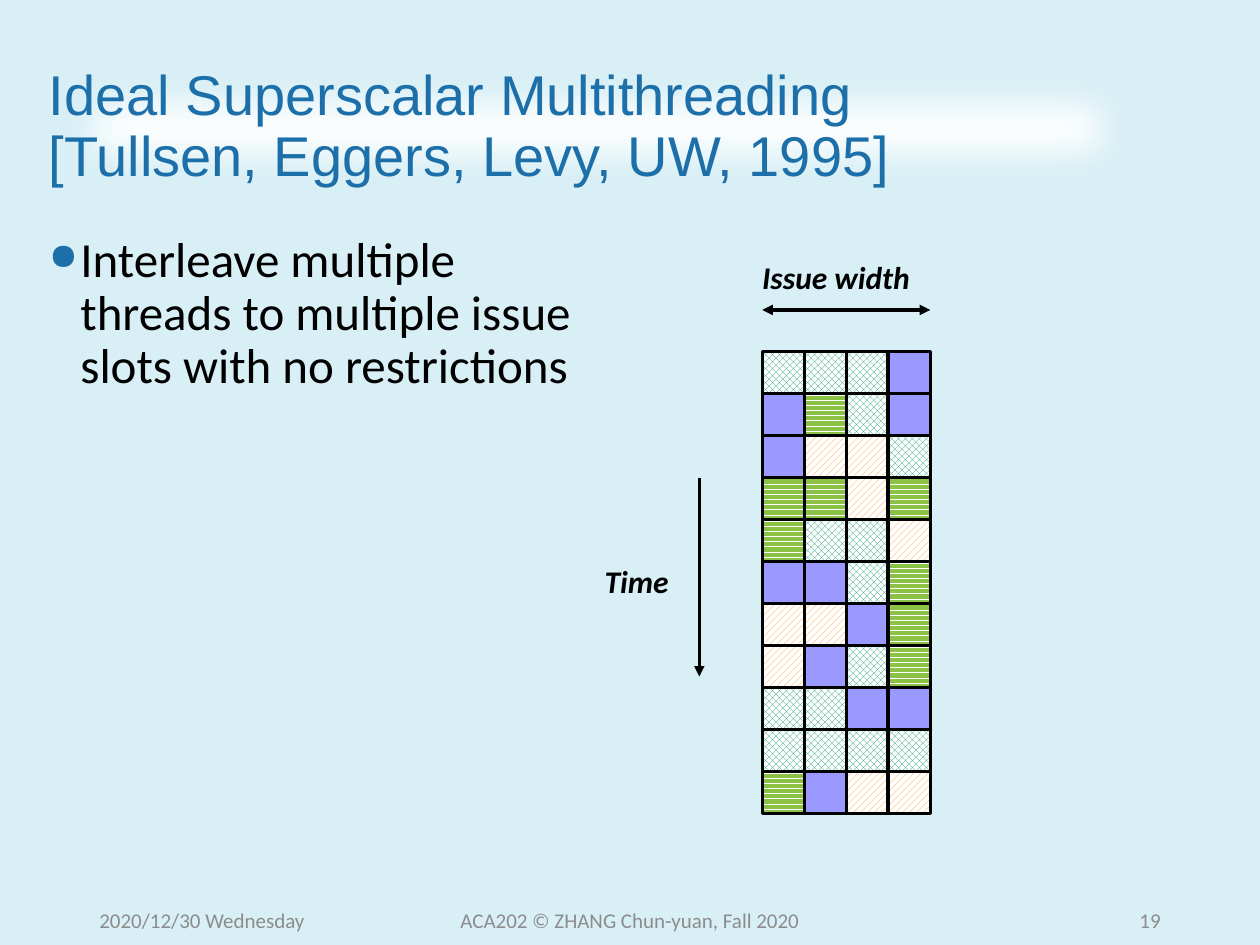
from lxml import etree
from pptx import Presentation
from pptx.dml.color import RGBColor
from pptx.enum.dml import MSO_PATTERN
from pptx.enum.shapes import MSO_CONNECTOR, MSO_SHAPE
from pptx.enum.text import MSO_ANCHOR, PP_ALIGN
from pptx.oxml.ns import qn
from pptx.util import Inches, Pt

RECTANGLE = MSO_SHAPE.RECTANGLE
STRAIGHT = MSO_CONNECTOR.STRAIGHT
DIAMONDS = MSO_PATTERN.SOLID_DIAMOND
STRIPES = MSO_PATTERN.DARK_HORIZONTAL
DIAGONALS = MSO_PATTERN.WIDE_UPWARD_DIAGONAL
TOP, MIDDLE = MSO_ANCHOR.TOP, MSO_ANCHOR.MIDDLE
LEFT, CENTER, RIGHT = PP_ALIGN.LEFT, PP_ALIGN.CENTER, PP_ALIGN.RIGHT

SKY = RGBColor(0xD7, 0xEF, 0xF5)
WHITE = RGBColor(0xFF, 0xFF, 0xFF)
BLACK = RGBColor(0, 0, 0)
BLUE = RGBColor(0x1D, 0x6F, 0xA9)
GRAY = RGBColor(0x8C, 0x8C, 0x8C)
VIOLET = RGBColor(0x99, 0x99, 0xFF)
TEAL = RGBColor(0x1D, 0x9A, 0x78)
GREEN = RGBColor(0x8B, 0xC1, 0x45)
ORANGE = RGBColor(0xFF, 0x99, 0x33)

THREADS = {
    "C": (DIAMONDS, TEAL),
    "H": (STRIPES, GREEN),
    "D": (DIAGONALS, ORANGE),
    "V": (None, VIOLET),
}
CYCLES = ["CCCV", "VHCV", "VDDC", "HHDH", "HCCD", "VVCH",
          "DDVH", "DVCH", "CCVV", "CCCC", "HVDD"]
SLOT = 1 / 3
GRID_LEFT, GRID_TOP = 6.05, 2.79


class SlideBuilder:
    body_font = "Calibri"
    title_font = "Arial"
    line_width = Pt(2)

    def __init__(self, slide):
        self.slide = slide
        slide.background.fill.solid()
        slide.background.fill.fore_color.rgb = SKY

    def add_words(self, paragraph, words, size, color, font=None, strong=False):
        run = paragraph.add_run()
        run.text = words
        run.font.size = Pt(size)
        run.font.name = font or self.body_font
        run.font.color.rgb = color
        if strong:
            run.font.bold = run.font.italic = True

    def box(self, left, top, width, height):
        shape = self.slide.shapes.add_shape(
            RECTANGLE, Inches(left), Inches(top), Inches(width), Inches(height))
        shape.shadow.inherit = False
        return shape

    def title(self, lines, left, top, width, height):
        banner = self.box(left, top, width, height)
        banner.fill.solid()
        banner.fill.fore_color.rgb = WHITE
        banner.line.fill.background()
        effects = banner._element.spPr.find(qn("a:effectLst"))
        etree.SubElement(effects, qn("a:softEdge"), rad=str(Pt(25)))
        frame = banner.text_frame
        frame.word_wrap = True
        frame.vertical_anchor = MIDDLE
        paragraph = frame.paragraphs[0]
        paragraph.alignment = LEFT
        paragraph.line_spacing = 0.9
        for index, line in enumerate(lines):
            if index:
                paragraph.add_line_break()
            self.add_words(paragraph, line, 32, BLUE, self.title_font)

    def text(self, words, left, top, width, height, size, color,
             align=LEFT, anchor=TOP, wrap=True, strong=False):
        frame = self.slide.shapes.add_textbox(
            Inches(left), Inches(top), Inches(width), Inches(height)).text_frame
        frame.word_wrap = wrap
        frame.vertical_anchor = anchor
        paragraph = frame.paragraphs[0]
        paragraph.alignment = align
        self.add_words(paragraph, words, size, color, strong=strong)
        return paragraph

    def bullet(self, words, left, top, width, height):
        paragraph = self.text(words, left, top, width, height, 28, BLACK)
        paragraph.line_spacing = 0.9
        properties = paragraph._p.get_or_add_pPr()
        properties.set("marL", str(Inches(0.25)))
        properties.set("indent", str(-Inches(0.25)))
        bullet_color = etree.SubElement(properties, qn("a:buClr"))
        etree.SubElement(bullet_color, qn("a:srgbClr"), val=str(BLUE))
        etree.SubElement(properties, qn("a:buSzPct"), val="75000")
        etree.SubElement(properties, qn("a:buChar"), char="●")

    def label(self, words, left, top, width):
        self.text(words, left, top, width, 0.51, 18, BLACK, wrap=False, strong=True)

    def footer(self, words, left, width, align):
        self.text(words, left, 7.1, width, 0.4, 12, GRAY, align, MIDDLE)

    def issue_slot(self, thread, left, top):
        pattern, color = THREADS[thread]
        slot = self.box(left, top, SLOT, SLOT)
        if pattern is None:
            slot.fill.solid()
        else:
            slot.fill.patterned()
            slot.fill.pattern = pattern
            slot.fill.back_color.rgb = WHITE
        slot.fill.fore_color.rgb = color
        slot.line.color.rgb = BLACK
        slot.line.width = self.line_width

    def arrow(self, x1, y1, x2, y2, ends):
        connector = self.slide.shapes.add_connector(
            STRAIGHT, Inches(x1), Inches(y1), Inches(x2), Inches(y2))
        connector.line.color.rgb = BLACK
        connector.line.width = self.line_width
        outline = connector._element.spPr.find(qn("a:ln"))
        for end in ends:
            etree.SubElement(outline, qn(f"a:{end}"), type="triangle")
        etree.SubElement(connector._element.spPr, qn("a:effectLst"))


def main():
    deck = Presentation()
    deck.slide_width, deck.slide_height = Inches(10), Inches(7.5)
    page = SlideBuilder(deck.slides.add_slide(deck.slide_layouts[6]))

    page.title(["Ideal Superscalar Multithreading", "[Tullsen, Eggers, Levy, UW, 1995]"],
               0.29, 0.4, 8.88, 1.23)
    page.bullet("Interleave multiple threads to multiple issue slots with no restrictions",
                0.29, 1.82, 4.64, 5.13)

    for row, cycle in enumerate(CYCLES):
        for column, thread in enumerate(cycle):
            page.issue_slot(thread, GRID_LEFT + column * SLOT, GRID_TOP + row * SLOT)

    page.arrow(GRID_LEFT, 2.46, GRID_LEFT + 4 * SLOT, 2.46, ["headEnd", "tailEnd"])
    page.label("Issue width", 5.95, 2, 1.86)
    page.arrow(5.55, 3.79, 5.55, 5.37, ["tailEnd"])
    page.label("Time", 4.7, 4.41, 0.97)

    page.footer("2020/12/30 Wednesday", 0.69, 2.25, LEFT)
    page.footer("ACA202 © ZHANG Chun-yuan, Fall 2020", 3.31, 3.38, CENTER)
    page.footer("19", 7.06, 2.25, RIGHT)
    deck.save("out.pptx")


if __name__ == "__main__":
    main()
